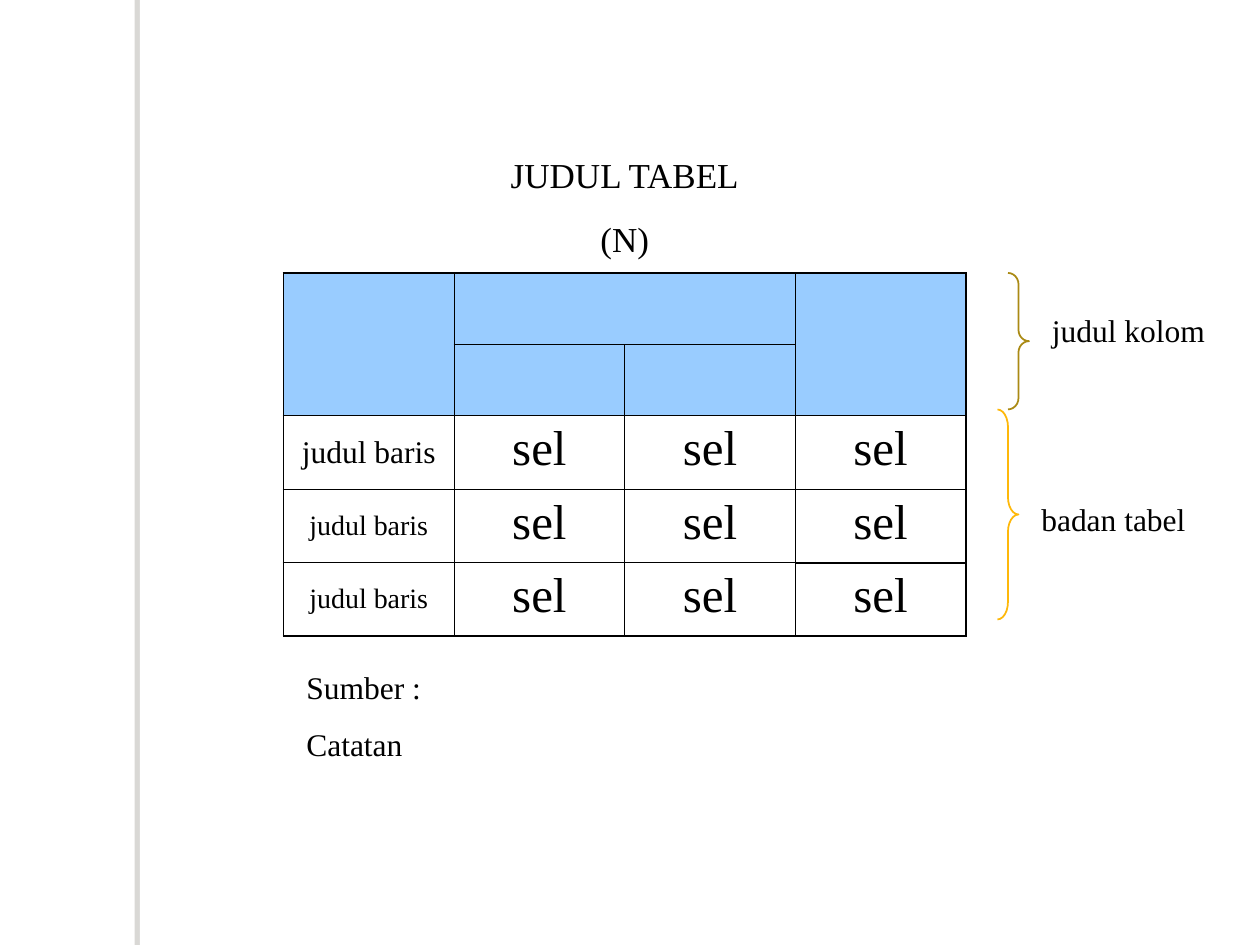
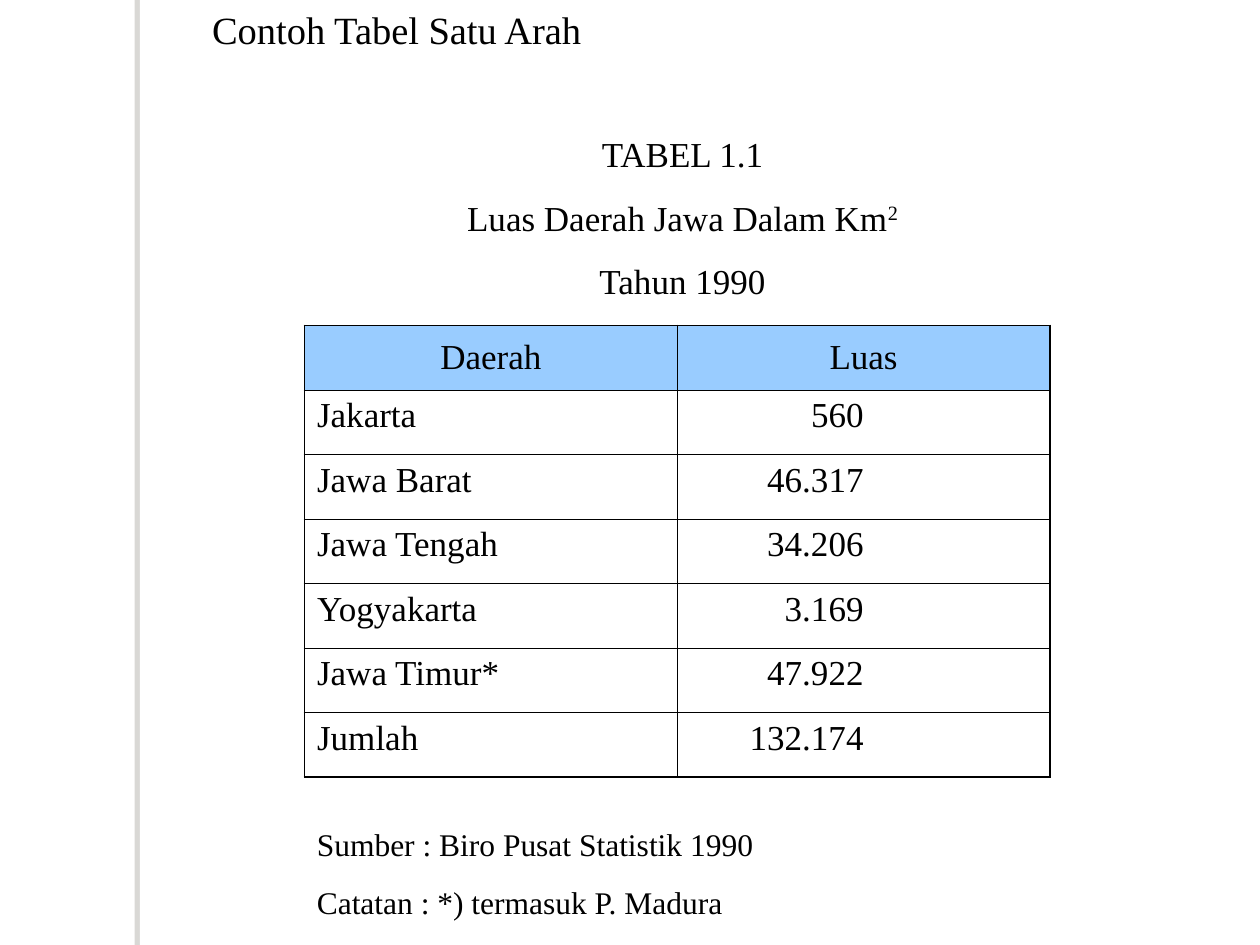
"""Build two slides: the parts of a table, and an example of a one-way table."""
from dataclasses import dataclass

from lxml import etree
from pptx import Presentation
from pptx.dml.color import RGBColor
from pptx.enum.shapes import MSO_SHAPE
from pptx.enum.text import MSO_ANCHOR, MSO_AUTO_SIZE, PP_ALIGN
from pptx.oxml import parse_xml
from pptx.oxml.ns import nsdecls, qn
from pptx.util import Inches, Pt

LEFT, CENTER, RIGHT = PP_ALIGN.LEFT, PP_ALIGN.CENTER, PP_ALIGN.RIGHT
TOP, MIDDLE = MSO_ANCHOR.TOP, MSO_ANCHOR.MIDDLE
FIT, FIXED = MSO_AUTO_SIZE.SHAPE_TO_FIT_TEXT, MSO_AUTO_SIZE.NONE
BRACE, RECT = MSO_SHAPE.RIGHT_BRACE, MSO_SHAPE.RECTANGLE


@dataclass(frozen=True)
class Theme:
    """Colours, font, type sizes and line widths."""
    font: str = "Times New Roman"
    ink: str = "000000"
    paper: str = "FFFFFF"
    header: str = "99CCFF"
    shadow: str = "706B5F"
    brace_head: str = "AA8A14"
    brace_body: str = "FEB80A"
    heading: int = 22
    caption: int = 20
    note: int = 18
    row_label: int = 16
    value: int = 28
    gap: float = 0.625
    thin: float = 0.45
    thick: float = 1.08


T = Theme()


def write(tf, lines, size, align=LEFT, anchor=TOP):
    """Fill a text frame with lines; text after ^ is superscript."""
    tf.word_wrap = True
    tf.vertical_anchor = anchor
    tf.text = "\n".join(line.partition("^")[0] for line in lines)
    for i, (p, line) in enumerate(zip(tf.paragraphs, lines)):
        p.alignment = align
        p.space_before = Pt(size * T.gap if i else 0)
        raised = line.partition("^")[2]
        if raised:
            r = p.add_run()
            r.text = raised
            r.font._element.set("baseline", "30000")
        for r in p.runs:
            r.font.name = T.font
            r.font.size = Pt(size)
            r.font.color.rgb = RGBColor.from_string(T.ink)


def add_grid(s, left, top, col_widths, row_heights, header_rows):
    """Add a ruled table with a thick outer frame and shaded header rows."""
    n_rows, n_cols = len(row_heights), len(col_widths)
    table = s.shapes.add_table(n_rows, n_cols, left, top, sum(col_widths), sum(row_heights)).table
    table.first_row = table.horz_banding = False
    for col, width in zip(table.columns, col_widths):
        col.width = width
    for i, row in enumerate(table.rows):
        row.height = row_heights[i]
        for j, cell in enumerate(row.cells):
            outer = {"lnL": j == 0, "lnR": j == n_cols - 1, "lnT": i == 0, "lnB": i == n_rows - 1}
            tc_pr = cell._tc.get_or_add_tcPr()
            for side, is_outer in outer.items():
                ln = etree.SubElement(tc_pr, qn(f"a:{side}"), w=str(Pt(T.thick if is_outer else T.thin)))
                fill = etree.SubElement(ln, qn("a:solidFill"))
                etree.SubElement(fill, qn("a:srgbClr"), val=T.ink)
            if i < header_rows:
                cell.fill.solid()
                cell.fill.fore_color.rgb = RGBColor.from_string(T.header)
            else:
                cell.fill.background()
    return table


prs = Presentation()
prs.slide_width, prs.slide_height = Inches(10), Inches(7.5)
U = prs.slide_width // 120
layout = prs.slide_layouts[5]
parts, example = [prs.slides.add_slide(layout) for _ in range(2)]

band = parts.shapes.add_shape(RECT, Inches(1.11), 0, U, prs.slide_height)
band.fill.solid()
band.fill.fore_color.rgb = RGBColor.from_string(T.paper)
band.line.fill.background()
band._element.spPr.append(parse_xml(
    f'<a:effectLst {nsdecls("a")}><a:outerShdw blurRad="0" dist="{Pt(3)}" dir="10800000">'
    f'<a:srgbClr val="{T.shadow}"><a:alpha val="25000"/></a:srgbClr></a:outerShdw></a:effectLst>'))
prs.slide_master.shapes._spTree.insert(2, band._element)

titles = [
    (parts, 37, 14, 45, 11, ["JUDUL TABEL", "(N)"], T.caption, CENTER),
    (example, 19, 0, 44, 6, ["Contoh Tabel Satu Arah"], T.heading, LEFT),
]
for s, x, y, w, h, lines, size, align in titles:
    title = s.shapes.title
    title.left, title.top, title.width, title.height = x * U, y * U, w * U, h * U
    title.text_frame.auto_size = FIXED
    write(title.text_frame, lines, size, align)

texts = [
    (parts, 99, 29, 17, 5, ["judul kolom"], T.note, LEFT),
    (parts, 98, 47, 17, 5, ["badan tabel"], T.note, LEFT),
    (parts, 28, 63, 36, 10, ["Sumber :", "Catatan"], T.note, LEFT),
    (example, 39, 12, 52, 17, ["TABEL 1.1", "Luas Daerah Jawa Dalam Km^2", "Tahun 1990"], T.caption, CENTER),
    (example, 29, 78, 47, 10, ["Sumber : Biro Pusat Statistik 1990", "Catatan : *) termasuk P. Madura"],
     T.note, LEFT),
]
for s, x, y, w, h, lines, size, align in texts:
    tf = s.shapes.add_textbox(x * U, y * U, w * U, h * U).text_frame
    write(tf, lines, size, align)
    tf.auto_size = FIT

scheme = add_grid(parts, 27 * U, 26 * U, [65 * U // 4] * 4, [int(6.8 * U)] * 2 + [7 * U] * 3, 2)
scheme.cell(0, 0).merge(scheme.cell(1, 0))
scheme.cell(0, 1).merge(scheme.cell(0, 2))
scheme.cell(0, 3).merge(scheme.cell(1, 3))
for i, label_size in enumerate([T.note, T.row_label, T.row_label], start=2):
    write(scheme.cell(i, 0).text_frame, ["judul baris"], label_size, CENTER)
    scheme.cell(i, 0).vertical_anchor = MIDDLE
    for j in range(1, 4):
        write(scheme.cell(i, j).text_frame, ["sel"], T.value, CENTER)
for i, side in [(3, "lnB"), (4, "lnT")]:
    scheme.cell(i, 3)._tc.tcPr.find(qn(f"a:{side}")).set("w", str(Pt(T.thick)))

for x, y, h, color in [(95, 39, 20, T.brace_body), (96, 26, 13, T.brace_head)]:
    brace = parts.shapes.add_shape(BRACE, x * U, y * U, 2 * U, h * U)
    brace.adjustments[0] = h / 24
    brace.shadow.inherit = False
    brace.fill.background()
    brace.line.color.rgb = RGBColor.from_string(color)
    brace.line.width = Pt(1)

areas = [
    ("Daerah", "Luas"),
    ("Jakarta", "560"),
    ("Jawa Barat", "46.317"),
    ("Jawa Tengah", "34.206"),
    ("Yogyakarta", "3.169"),
    ("Jawa Timur*", "47.922"),
    ("Jumlah", "132.174"),
]
col_w = 71 * U // 2
area_table = add_grid(example, 29 * U, 31 * U, [col_w] * 2, [43 * U // 7] * len(areas), 1)
for i, row in enumerate(areas):
    for j, text in enumerate(row):
        cell = area_table.cell(i, j)
        if i == 0:
            write(cell.text_frame, [text], T.caption, CENTER)
            cell.vertical_anchor = MIDDLE
        else:
            write(cell.text_frame, [text], T.caption, RIGHT if j else LEFT)
            if j:
                cell.margin_right = col_w // 2

prs.save("out.pptx")
